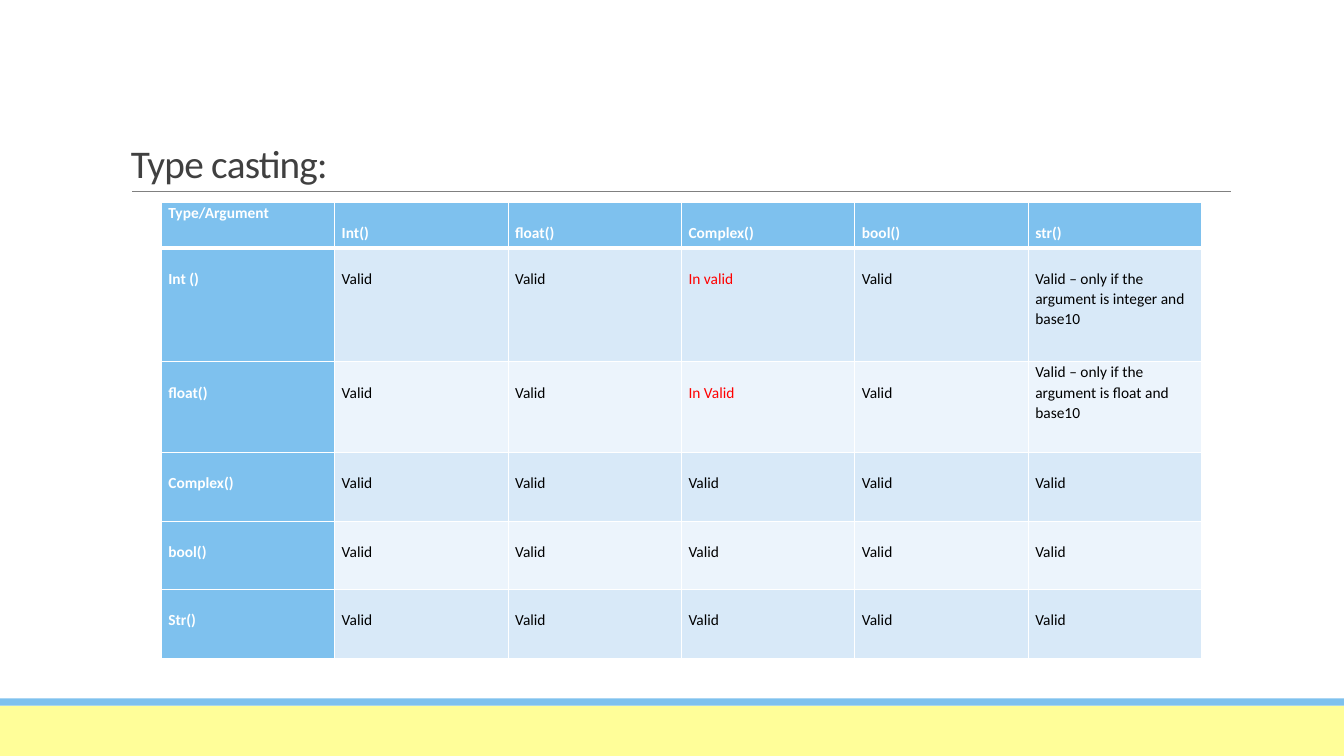
from lxml.etree import Element, SubElement
from pptx import Presentation
from pptx.dml.color import RGBColor as RGB
from pptx.enum.shapes import MSO_CONNECTOR as CONN, MSO_SHAPE as SHAPE
from pptx.enum.text import MSO_ANCHOR as ANCHOR
from pptx.oxml.ns import qn
from pptx.util import Inches, Pt

COLORS = {
    "white": "FFFFFF", "black": "000000", "title": "404040", "rule": "808080",
    "blue": "7EC1EE", "yellow": "FFFE99", "red": "FF0000",
    "dark_band": "D8E9F8", "light_band": "ECF4FC",
}
HEADERS = ["Type/Argument", "Int()", "float()", "Complex()", "bool()", "str()"]
ROWS = [
    ["Int ()", "Valid", "Valid", "In valid", "Valid",
     "Valid – only if the argument is integer and base10"],
    ["float()", "Valid", "Valid", "In Valid", "Valid",
     "Valid – only if the argument is float and base10"],
] + [[name] + ["Valid"] * 5 for name in ("Complex()", "bool()", "Str()")]
ROW_HEIGHTS = [0.45, 1.13, 0.9, 0.68, 0.68, 0.68]
COL_WIDTH = 1.72
LINE_HEIGHT = 0.2
TOP_ALIGNED = {(0, 0), (2, 5)}


class SlideBuilder:
    """Draws styled elements on the current slide."""

    font = "Calibri"

    def __init__(self, slide):
        self.slide = slide

    def color(self, name):
        return RGB.from_string(COLORS[name])

    def style(self, p, size, color, spacing, bold=False):
        p.line_spacing = spacing
        p.font.name = self.font
        p.font.size = Pt(size)
        p.font.bold = bold
        p.font.color.rgb = self.color(color)

    def bar(self, x, y, w, h, color):
        sp = self.slide.shapes.add_shape(
            SHAPE.RECTANGLE, Inches(x), Inches(y), Inches(w), Inches(h))
        sp.shadow.inherit = False
        sp.fill.solid()
        sp.fill.fore_color.rgb = self.color(color)
        sp.line.fill.background()

    def rule(self, x1, x2, y, color, width):
        line = self.slide.shapes.add_connector(
            CONN.STRAIGHT, Inches(x1), Inches(y), Inches(x2), Inches(y))
        line.line.color.rgb = self.color(color)
        line.line.width = Pt(width)
        SubElement(line._element.spPr, qn("a:effectLst"))

    def title(self, text, x, y, w, h):
        tf = self.slide.shapes.add_textbox(
            Inches(x), Inches(y), Inches(w), Inches(h)).text_frame
        tf.word_wrap = True
        tf.vertical_anchor = ANCHOR.BOTTOM
        p = tf.paragraphs[0]
        r = p.add_run()
        r.text = text
        r.font._element.set("spc", "-50")
        self.style(p, 28, "title", 0.85)

    def borders(self, cell, widths):
        tc_pr = cell._tc.get_or_add_tcPr()
        for i, (side, width) in enumerate(widths.items()):
            ln = Element(qn(f"a:ln{side}"), w=str(Pt(width)))
            fill = SubElement(ln, qn("a:solidFill"))
            SubElement(fill, qn("a:srgbClr"), val=COLORS["white"])
            tc_pr.insert(i, ln)

    def cell(self, cell, text, fill, color, bold, top):
        cell.margin_left = cell.margin_right = Inches(0.07)
        cell.margin_top, cell.margin_bottom = Inches(top), 0
        cell.fill.solid()
        cell.fill.fore_color.rgb = self.color(fill)
        p = cell.text_frame.paragraphs[0]
        p.text = text
        self.style(p, 11, color, 1.07, bold)

    def table(self, rows, x, y, col_width, heights):
        n_cols = len(rows[0])
        table = self.slide.shapes.add_table(
            len(rows), n_cols, Inches(x), Inches(y),
            Inches(col_width * n_cols), Inches(sum(heights))).table
        table.first_row = table.horz_banding = False
        for col in table.columns:
            col.width = Inches(col_width)
        for i, (row, height) in enumerate(zip(rows, heights)):
            table.rows[i].height = Inches(height)
            band = "dark_band" if i % 2 else "light_band"
            for j, text in enumerate(row):
                heading = i == 0 or j == 0
                invalid = text.lower() == "in valid"
                color = "white" if heading else "red" if invalid else "black"
                top = 0 if (i, j) in TOP_ALIGNED else LINE_HEIGHT
                cell = table.cell(i, j)
                self.cell(cell, text, "blue" if heading else band,
                          color, heading, top)
                self.borders(cell, {"L": 1, "R": 1, "T": 3 if i == 1 else 1,
                                    "B": 3 if i == 0 else 1})


def main():
    prs = Presentation()
    prs.slide_width, prs.slide_height = Inches(13.33), Inches(7.5)
    s = SlideBuilder(prs.slides.add_slide(prs.slide_layouts[6]))
    s.bar(0, 7, 13.33, 0.5, "yellow")
    s.bar(0, 6.93, 13.33, 0.07, "blue")
    s.rule(1.31, 12.21, 1.9, "rule", 0.5)
    s.title("Type casting:", 1.2, 0.31, 11, 1.59)
    s.table([HEADERS] + ROWS, 1.6, 2.01, COL_WIDTH, ROW_HEIGHTS)
    prs.save("out.pptx")


if __name__ == "__main__":
    main()
